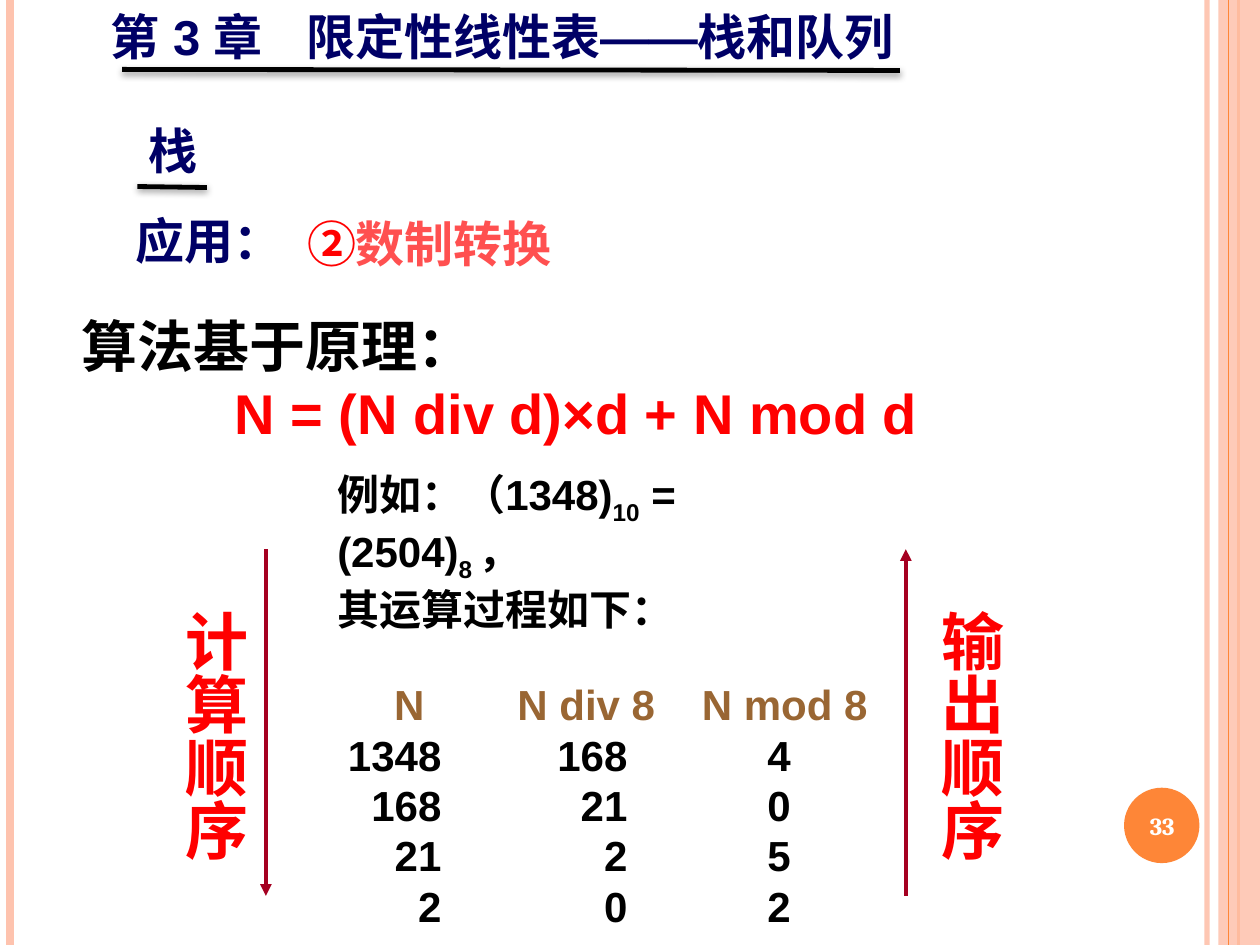
from lxml import etree
from pptx import Presentation
from pptx.dml.color import RGBColor
from pptx.enum import shapes, text
from pptx.oxml import ns
from pptx.util import Cm, Pt

BLACK = RGBColor(0, 0, 0)
WHITE = RGBColor(255, 255, 255)
RED = RGBColor(255, 0, 0)
CORAL = RGBColor(0xFF, 0x50, 0x50)
NAVY = RGBColor(0, 0, 0x66)
BROWN = RGBColor(0x99, 0x66, 0x33)
WINE = RGBColor(0xA5, 0, 0x21)
PEACH = RGBColor(0xFE, 0xC3, 0xAE)
ORANGE = RGBColor(0xFE, 0x86, 0x37)


def sub(node, tag, **attrs):
    part = etree.SubElement(node, ns.qn(tag))
    for key, value in attrs.items():
        part.set(key, str(value))
    return part


def fade(fill, share):
    color = fill._xPr.find(ns.qn("a:solidFill"))[0]
    sub(color, "a:alpha", val=share * 1000)


def line(slide, x, y, end_x, end_y, color, width, alpha=None, arrow=False, shade=False):
    rule = slide.shapes.add_connector(
        shapes.MSO_CONNECTOR.STRAIGHT, Cm(x), Cm(y), Cm(end_x), Cm(end_y))
    rule.line.color.rgb = color
    rule.line.width = Pt(width)
    if alpha:
        fade(rule.line.fill, alpha)
    if arrow:
        sub(rule.line._get_or_add_ln(), "a:tailEnd", type="triangle")
    effect = sub(rule._element.spPr, "a:effectLst")
    if shade:
        glow = sub(effect, "a:outerShdw", blurRad=Pt(4), dist=Pt(1.6),
                   dir=5400000, rotWithShape=0)
        color = sub(glow, "a:srgbClr", val="000000")
        sub(color, "a:alpha", val=42000)


def shape(slide, kind, x, y, w, h, color):
    item = slide.shapes.add_shape(kind, Cm(x), Cm(y), Cm(w), Cm(h))
    item.shadow.inherit = False
    item.fill.solid()
    item.fill.fore_color.rgb = color
    item.line.fill.background()
    return item


def tabs(para, stops, align):
    group = sub(para._p.get_or_add_pPr(), "a:tabLst")
    for stop in stops:
        sub(group, "a:tab", pos=Cm(stop), algn=align)


def write(para, parts, size, font="Arial"):
    for words, color, base in parts:
        run = para.add_run()
        run.text = words
        run.font.size = Pt(size)
        run.font.name = font
        run.font.bold = True
        run.font.color.rgb = color
        props = run._r.get_or_add_rPr()
        sub(props, "a:ea", typeface=font)
        if base:
            props.set("baseline", str(base * 1000))


def frame(slide, x, y, w, h):
    body = slide.shapes.add_textbox(Cm(x), Cm(y), Cm(w), Cm(h)).text_frame
    body.word_wrap = True
    return body


def label(slide, x, y, w, h, *parts, size=28):
    para = frame(slide, x, y, w, h).paragraphs[0]
    write(para, [(words, color, 0) for words, color in parts], size)
    return para


def edge(slide, x, y, w, h):
    foot = y + h
    line(slide, x + 24.33, y, x + 24.33, foot, PEACH, 3, alpha=93)
    line(slide, x + 0.2, y, x + 0.2, foot, PEACH, 4.5)
    line(slide, x + 24.97, y, x + 24.97, foot, ORANGE, 1.5)
    band = shape(slide, shapes.MSO_SHAPE.RECTANGLE, x + 24.56, y, w - 24.56, h, PEACH)
    fade(band.fill, 87)
    line(slide, x + 24.77, y, x + 24.77, foot, ORANGE, 0.75)


def badge(slide, x, y, size):
    shape(slide, shapes.MSO_SHAPE.OVAL, x, y, size, size, ORANGE)
    body = frame(slide, x - 0.08, y + 0.04, 1.7, 1.45)
    body.vertical_anchor = text.MSO_ANCHOR.MIDDLE
    body.paragraphs[0].alignment = text.PP_ALIGN.CENTER
    write(body.paragraphs[0], [("33", WHITE, 0)], 14, "Cambria")


def head(slide, x, y):
    title = label(slide, x, y, 16.56, 1.45, ("第 3 章\t限定性线性表——栈和队列", NAVY))
    tabs(title, [3.95], "l")
    line(slide, x + 0.48, y + 1.4, x + 16.16, y + 1.42, BLACK, 2.75, shade=True)
    label(slide, x + 0.76, y + 2.31, 3.35, 1.45, ("栈", NAVY))
    line(slide, x + 0.79, y + 3.76, x + 2.19, y + 3.78, BLACK, 2.75, shade=True)
    label(slide, x + 0.51, y + 4.11, 3.48, 1.45, ("应用：", NAVY))
    label(slide, x + 3.96, y + 4.17, 8.76, 1.45, ("②", RED), ("数制转换", CORAL))


def rule(slide, x, y, w, h):
    body = frame(slide, x, y, w, h)
    write(body.paragraphs[0], [("算法基于原理：", BLACK, 0)], 32)
    para = body.add_paragraph()
    para._p.get_or_add_pPr().set("marL", str(Cm(3.08)))
    write(para, [("N = (N div d)×d + N mod d", RED, 0)], 32)


def sample(slide, x, y, w, h):
    body = frame(slide, x, y, w, h)
    para = body.paragraphs[0]
    write(para, [("例如：（1348)", BLACK, 0), ("10", BLACK, -25), (" =", BLACK, 0)], 24)
    para.add_line_break()
    write(para, [("(2504)", BLACK, 0), ("8 ", BLACK, -25), ("，", BLACK, 0)], 24)
    write(body.add_paragraph(), [("其运算过程如下：", BLACK, 0)], 24)
    rows = [("N", "N div 8", "N mod 8")]
    value = 1348
    while value:
        rows.append((value, value // 8, value % 8))
        value //= 8
    for index, row in enumerate(rows):
        para = body.add_paragraph()
        para.line_spacing = Pt(28.75)
        if index:
            tabs(para, [2.1, 5.85, 9.14], "r")
        else:
            para.space_before = Pt(26)
            tabs(para, [1.45, 5.02, 9.02], "ctr")
        words = "".join(f"\t{cell}" for cell in row)
        write(para, [(words, BLACK if index else BROWN, 0)], 24)


def order(slide, x, y, w, h, words):
    body = frame(slide, x, y, w, h)
    body.word_wrap = False
    body._txBody.bodyPr.set("vert", "eaVert")
    write(body.paragraphs[0], [(words, RED, 0)], 36)


def main():
    deck = Presentation()
    deck.slide_width, deck.slide_height = Cm(25.4), Cm(19.05)
    slide = deck.slides.add_slide(deck.slide_layouts[6])
    edge(slide, 0, 0, 25.4, 19.05)
    badge(slide, 22.66, 15.88, 1.52)
    rule(slide, 1.4, 6.15, 21.21, 2.97)
    line(slide, 5.36, 11.07, 5.36, 18.06, WINE, 2.25, arrow=True)
    line(slide, 18.26, 18.06, 18.26, 11.07, WINE, 2.25, arrow=True)
    order(slide, 3.18, 12.04, 2.03, 5.36, "计算顺序")
    order(slide, 18.42, 12.04, 2.03, 5.36, "输出顺序")
    sample(slide, 6.55, 9.32, 11.63, 8.46)
    head(slide, 1.98, 0)
    deck.save("out.pptx")


if __name__ == "__main__":
    main()
